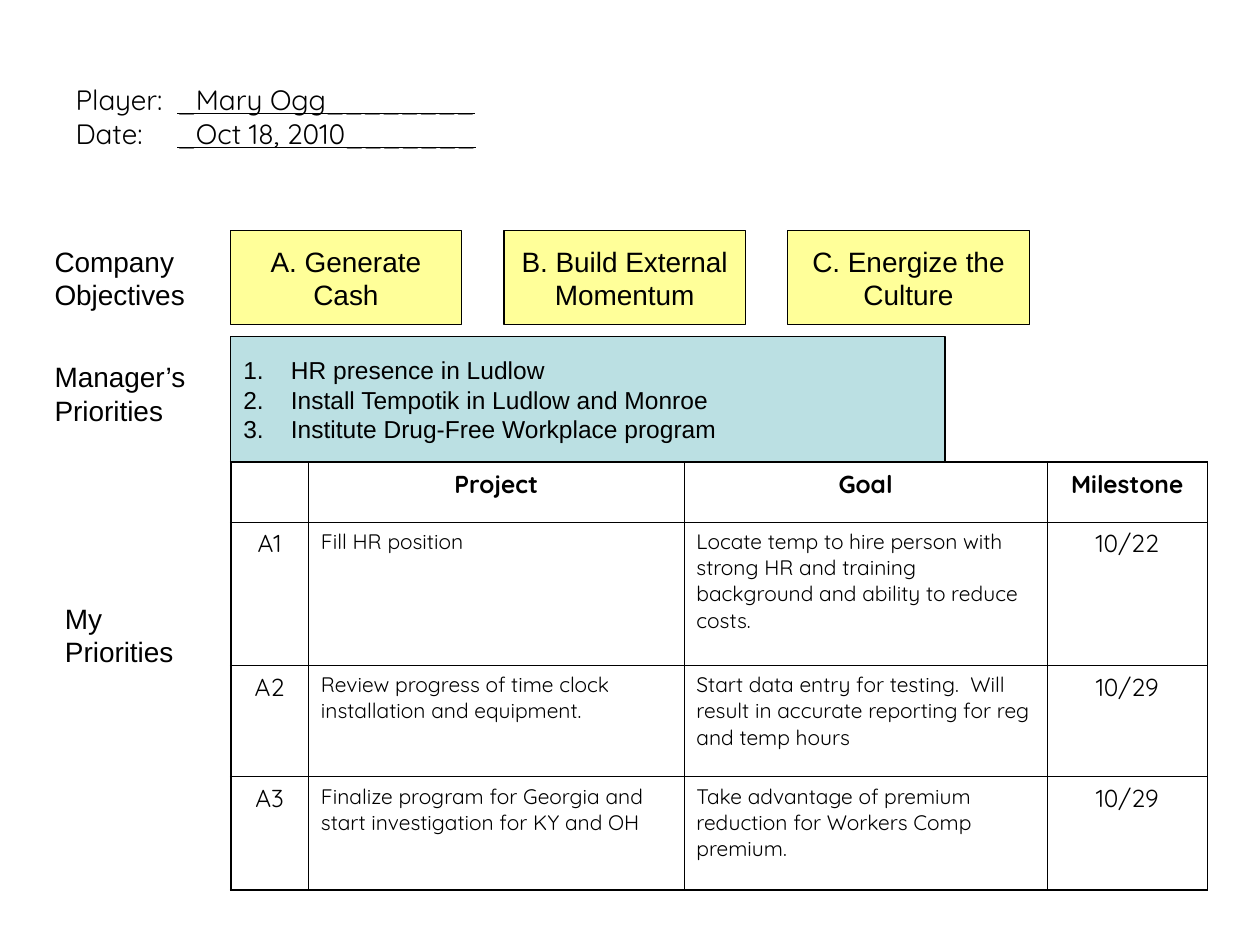
from lxml.etree import SubElement
from pptx import Presentation
from pptx.dml.color import RGBColor
from pptx.enum.shapes import MSO_SHAPE
from pptx.enum.text import MSO_ANCHOR, MSO_AUTO_SIZE, PP_ALIGN
from pptx.oxml import parse_xml
from pptx.oxml.ns import nsdecls, qn
from pptx.util import Cm, Pt

COLORS = {"ink": "000000", "objective": "FFFF99", "manager": "BBE0E3"}
SANS, ROUNDED = "Arial", "Quicksand"
GRID_LEFT = 4.65
OBJECTIVES_TOP = 4.65
BAND_HEIGHT = 1.9

HEADER = [("Player:\t", "_Mary Ogg________"), ("Date:\t", "_Oct 18, 2010_______")]
LABELS = [
    ("Company\nObjectives", 0.85, OBJECTIVES_TOP),
    ("Manager’s\nPriorities", 0.85, 6.98),
    ("My\nPriorities", 1.06, 11.85),
]
OBJECTIVES = [
    ("A. Generate\nCash", GRID_LEFT, 4.65),
    ("B. Build External\nMomentum", 10.16, 4.87),
    ("C. Energize the\nCulture", 15.88, 4.87),
]
MANAGER_PRIORITIES = [
    "HR presence in Ludlow",
    "Install Tempotik in Ludlow and Monroe",
    "Institute Drug-Free Workplace program",
]
COLUMN_WIDTHS = [1.57, 7.57, 7.32, 3.23]
ROW_HEIGHTS = [1.2, 2.89, 2.25, 2.28]
PROJECTS = [
    ("", "Project", "Goal", "Milestone"),
    (
        "A1",
        "Fill HR position",
        "Locate temp to hire person with strong HR and training background and ability to reduce costs.",
        "10/22",
    ),
    (
        "A2",
        "Review progress of time clock installation and equipment.",
        "Start data entry for testing.  Will result in accurate reporting for reg and temp hours",
        "10/29",
    ),
    (
        "A3",
        "Finalize program for Georgia and start investigation for KY and OH",
        "Take advantage of premium reduction for Workers Comp premium.",
        "10/29",
    ),
]


def rgb(name):
    return RGBColor.from_string(COLORS[name])


def style_font(font, face, size, bold=False):
    font.name, font.size, font.bold = face, Pt(size), bold
    font.color.rgb = rgb("ink")


def place(shape, left, top, width, height):
    shape.left, shape.top = Cm(left), Cm(top)
    shape.width, shape.height = Cm(width), Cm(height)


def write_lines(frame, text, size, align):
    frame.text = text
    frame.word_wrap = True
    frame.auto_size = MSO_AUTO_SIZE.NONE
    frame.vertical_anchor = MSO_ANCHOR.MIDDLE
    for line in frame.paragraphs:
        line.alignment = align
        line.space_before = Pt(0)
        for run in line.runs:
            style_font(run.font, SANS, size)


def paint(shape, fill):
    shape.fill.solid()
    shape.fill.fore_color.rgb = rgb(fill)
    shape.line.color.rgb = rgb("ink")
    shape.line.width = Pt(0.75)


def fill_header(title):
    place(title, 1.27, 0.76, 22.86, 3.18)
    frame = title.text_frame
    frame.auto_size = MSO_AUTO_SIZE.NONE
    frame.vertical_anchor = MSO_ANCHOR.MIDDLE
    entry = frame.paragraphs[0]
    entry.alignment = PP_ALIGN.LEFT
    for index, (caption, value) in enumerate(HEADER):
        if index:
            entry.add_line_break()
        for text, underlined in ((caption, False), (value, True)):
            run = entry.add_run()
            run.text = text
            style_font(run.font, ROUNDED, 16)
            run.font.underline = underlined
    stops = SubElement(entry._p.get_or_add_pPr(), qn("a:tabLst"))
    SubElement(stops, qn("a:tab"), pos=str(Cm(2.05)), algn="l")


def fill_manager_priorities(body):
    place(body, GRID_LEFT, 6.78, 14.4, 2.54)
    paint(body, "manager")
    write_lines(body.text_frame, "\n".join(MANAGER_PRIORITIES), 14, PP_ALIGN.LEFT)
    for priority in body.text_frame.paragraphs:
        properties = priority._p.get_or_add_pPr()
        properties.set("marL", str(Cm(0.96)))
        properties.set("indent", str(-Cm(0.96)))
        SubElement(properties, qn("a:buFont"), typeface=SANS)
        SubElement(properties, qn("a:buAutoNum"), type="arabicPeriod")


def add_label(slide, text, left, top):
    label = slide.shapes.add_textbox(Cm(left), Cm(top), Cm(3.6), Cm(BAND_HEIGHT))
    write_lines(label.text_frame, text, 16, PP_ALIGN.LEFT)


def add_objective(slide, text, left, width):
    objective = slide.shapes.add_shape(
        MSO_SHAPE.RECTANGLE, Cm(left), Cm(OBJECTIVES_TOP), Cm(width), Cm(BAND_HEIGHT)
    )
    objective.shadow.inherit = False
    paint(objective, "objective")
    write_lines(objective.text_frame, text, 16, PP_ALIGN.CENTER)


def set_borders(cell, outer_sides):
    properties = cell._tc.get_or_add_tcPr()
    for index, side in enumerate("LRTB"):
        width = Pt(1.08 if side in outer_sides else 0.45)
        properties.insert(index, parse_xml(
            f'<a:ln{side} {nsdecls("a")} w="{width}"><a:solidFill>'
            f'<a:srgbClr val="{COLORS["ink"]}"/></a:solidFill></a:ln{side}>'
        ))


def fill_cell(cell, text, is_header, is_description):
    cell.text = text
    cell.fill.background()
    cell.margin_left = cell.margin_right = Cm(0.25)
    cell.margin_top = cell.margin_bottom = Cm(0.13)
    size = 12 if is_description else 14
    entry = cell.text_frame.paragraphs[0]
    entry.alignment = PP_ALIGN.LEFT if is_description else PP_ALIGN.CENTER
    entry.space_before = Pt(size / 4)
    style_font(entry.font, ROUNDED, size, is_header)
    for run in entry.runs:
        style_font(run.font, ROUNDED, size, is_header)


def add_projects(slide):
    last_row, last_column = len(ROW_HEIGHTS) - 1, len(COLUMN_WIDTHS) - 1
    projects = slide.shapes.add_table(
        len(ROW_HEIGHTS), len(COLUMN_WIDTHS), Cm(GRID_LEFT), Cm(9.32),
        Cm(sum(COLUMN_WIDTHS)), Cm(sum(ROW_HEIGHTS)),
    ).table
    projects.first_row = projects.horz_banding = False
    for column, width in zip(projects.columns, COLUMN_WIDTHS):
        column.width = Cm(width)
    for row, height in zip(projects.rows, ROW_HEIGHTS):
        row.height = Cm(height)
    for r, entries in enumerate(PROJECTS):
        for c, text in enumerate(entries):
            cell = projects.cell(r, c)
            fill_cell(cell, text, r == 0, r > 0 and 0 < c < last_column)
            edges = {"L": c == 0, "R": c == last_column, "T": r == 0, "B": r == last_row}
            set_borders(cell, [side for side, outer in edges.items() if outer])


def main():
    deck = Presentation()
    deck.slide_width, deck.slide_height = Cm(25.4), Cm(19.05)
    slide = deck.slides.add_slide(deck.slide_layouts[1])
    fill_header(slide.shapes.title)
    fill_manager_priorities(slide.placeholders[1])
    for label in LABELS:
        add_label(slide, *label)
    for objective in OBJECTIVES:
        add_objective(slide, *objective)
    add_projects(slide)
    deck.save("out.pptx")


if __name__ == "__main__":
    main()
